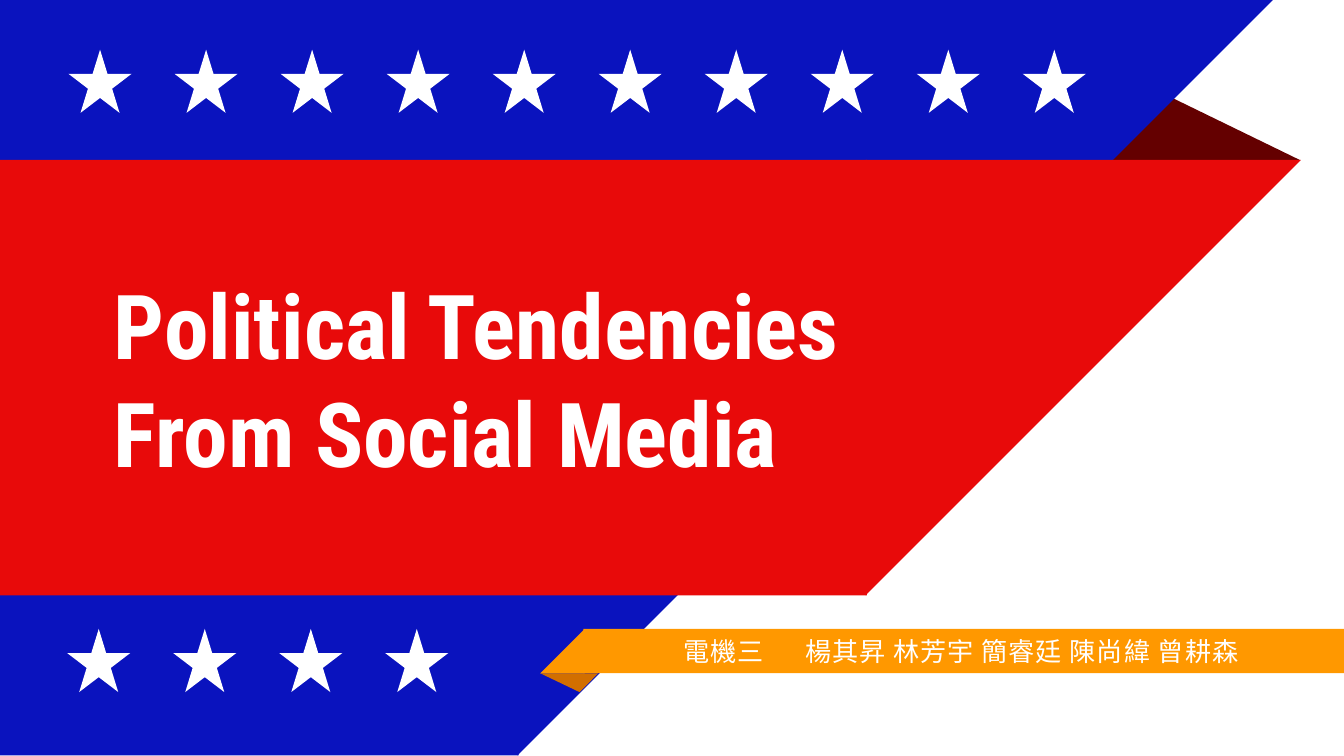
from lxml import etree
from pptx import Presentation
from pptx.dml.color import RGBColor
from pptx.enum.shapes import MSO_SHAPE
from pptx.enum.text import MSO_ANCHOR, PP_ALIGN
from pptx.oxml.ns import qn
from pptx.util import Inches, Pt

RECTANGLE = MSO_SHAPE.RECTANGLE
RIGHT_TRIANGLE = MSO_SHAPE.RIGHT_TRIANGLE
TRIANGLE = MSO_SHAPE.ISOSCELES_TRIANGLE
STAR = MSO_SHAPE.STAR_5_POINT
MIDDLE = MSO_ANCHOR.MIDDLE
CENTER = PP_ALIGN.CENTER

BLUE = RGBColor(0x0A, 0x13, 0xBE)
RED = RGBColor(0xE8, 0x0A, 0x0A)
MAROON = RGBColor(0x64, 0x00, 0x00)
ORANGE = RGBColor(0xFF, 0x98, 0x00)
DARK_ORANGE = RGBColor(0xD2, 0x6F, 0x00)
WHITE = RGBColor(0xFF, 0xFF, 0xFF)

TITLE_FONT = "Roboto Condensed"
NAMES_FONT = "Noto Sans CJK TC"
FOLD_APEX = 0.32
STAR_SIZE = 0.47
STAR_PITCH = 7.1 / 9
OVERLAP = 0.01


def add_filled(slide, kind, left, top, width, height, color, rotation=0):
    shape = slide.shapes.add_shape(
        kind, Inches(left), Inches(top), Inches(width), Inches(height))
    shape.shadow.inherit = False
    shape.fill.solid()
    shape.fill.fore_color.rgb = color
    shape.line.fill.background()
    shape.rotation = rotation
    return shape


def add_fold(slide, left, top, width, height, color, rotation=0):
    fold = add_filled(slide, TRIANGLE, left, top, width, height, color, rotation)
    fold.adjustments[0] = FOLD_APEX


def add_slanted_band(slide, left, top, width, height, color):
    body_width = width - height
    add_filled(slide, RECTANGLE, left, top, body_width + OVERLAP, height, color)
    add_filled(slide, RIGHT_TRIANGLE, left + body_width, top, height, height,
               color, 90)


def add_names_ribbon(slide, left, top, width, height):
    add_fold(slide, left, top + height, 0.43, 0.14, DARK_ORANGE, 180)
    add_filled(slide, RECTANGLE, left + height - OVERLAP, top,
               width - height + OVERLAP, height, ORANGE)
    add_filled(slide, RIGHT_TRIANGLE, left, top, height, height, ORANGE, 270)


def add_text_frame(slide, left, top, width, height):
    box = slide.shapes.add_textbox(
        Inches(left), Inches(top), Inches(width), Inches(height))
    box.text_frame.word_wrap = True
    return box.text_frame


def style_font(font, name, size):
    font.name = name
    font.size = Pt(size)
    font.color.rgb = WHITE


def add_title(slide, left, top, width, height):
    frame = add_text_frame(slide, left, top, width, height)
    frame.vertical_anchor = MIDDLE
    frame.margin_top = frame.margin_bottom = Inches(0.1)
    paragraph = frame.paragraphs[0]
    paragraph.text = "Political Tendencies\vFrom Social Media"
    style_font(paragraph.font, TITLE_FONT, 48)
    paragraph.font.bold = True


def add_names(slide, left, top, width, height):
    paragraph = add_text_frame(slide, left, top, width, height).paragraphs[0]
    paragraph.alignment = CENTER
    pieces = (("電機三", 50), (" ", 1850), ("楊其昇 林芳宇 簡睿廷 陳尚緯 曾耕森", 50))
    for text, spacing in pieces:
        run = paragraph.add_run()
        run.text = text
        style_font(run.font, NAMES_FONT, 14)
        properties = run._r.get_or_add_rPr()
        properties.set("spc", str(spacing))
        east_asian = etree.Element(qn("a:ea"), typeface=NAMES_FONT)
        properties.find(qn("a:latin")).addnext(east_asian)


def add_star_row(slide, left, top, count):
    for index in range(count):
        add_filled(slide, STAR, left + index * STAR_PITCH, top,
                   STAR_SIZE, STAR_SIZE, WHITE)


def build_title_slide(presentation):
    slide = presentation.slides.add_slide(presentation.slide_layouts[6])
    add_fold(slide, 8.25, 0.72, 1.42, 0.47, MAROON)
    add_slanted_band(slide, 0, 0, 9.47, 5.62, BLUE)
    add_slanted_band(slide, 0, 1.19, 9.68, 3.24, RED)
    add_names_ribbon(slide, 4.02, 4.68, 6, 0.33)
    add_title(slide, 0.75, 1.19, 5.87, 3.24)
    add_names(slide, 4.53, 4.68, 5.24, 0.34)
    add_star_row(slide, 0.51, 0.37, 10)
    add_star_row(slide, 0.5, 4.68, 4)


presentation = Presentation()
presentation.slide_width = Inches(10)
presentation.slide_height = presentation.slide_width * 9 // 16
build_title_slide(presentation)
presentation.save("out.pptx")
